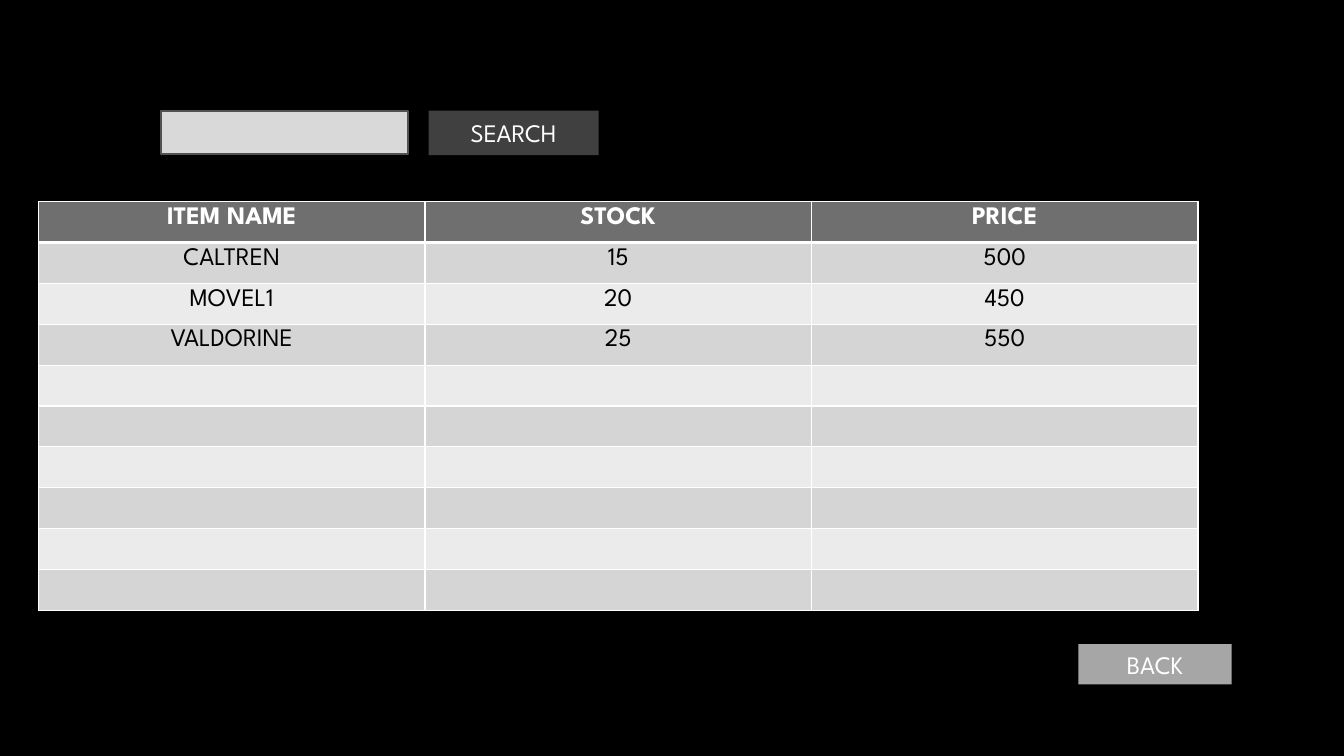
from lxml import etree
from pptx import Presentation
from pptx.dml.color import RGBColor
from pptx.enum.shapes import MSO_SHAPE as Shape
from pptx.enum.text import MSO_ANCHOR as Anchor, PP_ALIGN as Align
from pptx.oxml import parse_xml
from pptx.oxml.ns import nsdecls
from pptx.util import Cm, Pt


def paint(fill, color):
    fill.solid()
    fill.fore_color.rgb = RGBColor.from_string(color)


def write_centred(paragraph, text, color, bold=False):
    paragraph.alignment = Align.CENTER
    run = paragraph.add_run()
    run.text = text
    run.font.name = "League Spartan"
    run.font.size = Pt(18)
    run.font.bold = bold
    paint(run.font.fill, color)


presentation = Presentation()
presentation.slide_width = Cm(33.87)
presentation.slide_height = Cm(19.05)
slide = presentation.slides.add_slide(presentation.slide_layouts[6])
paint(slide.background.fill, "000000")

# Stock table
stock_rows = [
    ("ITEM NAME", "STOCK", "PRICE"),
    ("CALTREN", "15", "500"),
    ("MOVEL1", "20", "450"),
    ("VALDORINE", "25", "550"),
]
row_count, column_count = 10, 3
table = slide.shapes.add_table(
    row_count, column_count, Cm(0.97), Cm(5.08), Cm(29.22), Cm(10.3)
).table
for column in table.columns:
    column.width = Cm(9.74)
for row in table.rows:
    row.height = Cm(1.03)

for row_index in range(row_count):
    is_header = row_index == 0
    if is_header:
        row_color = "6F6F6F"
    else:
        row_color = "D5D5D5" if row_index % 2 else "EBEBEB"
    border_widths = {
        "lnL": 1,
        "lnR": 1,
        "lnT": 3 if row_index == 1 else 1,
        "lnB": 3 if is_header else 1,
    }
    for column_index in range(column_count):
        cell = table.cell(row_index, column_index)
        cell_properties = cell._tc.get_or_add_tcPr()
        for side, width in border_widths.items():
            cell_properties.append(parse_xml(
                f'<a:{side} {nsdecls("a")} w="{Pt(width)}"><a:solidFill>'
                f'<a:srgbClr val="FFFFFF"/></a:solidFill></a:{side}>'
            ))
        paint(cell.fill, row_color)
        if row_index < len(stock_rows):
            write_centred(
                cell.text_frame.paragraphs[0],
                stock_rows[row_index][column_index],
                "FFFFFF" if is_header else "000000",
                bold=is_header,
            )

# Search field and buttons: text, left, top, width, height, fill, outline
controls = [
    ("SEARCH", 10.8, 2.79, 4.29, 1.12, "404040", None),
    ("", 4.06, 2.79, 6.22, 1.1, "D9D9D9", "525252"),
    ("BACK", 27.18, 16.23, 3.86, 1.02, "A6A6A6", None),
]
for text, left, top, width, height, color, outline in controls:
    control = slide.shapes.add_shape(
        Shape.RECTANGLE, Cm(left), Cm(top), Cm(width), Cm(height)
    )
    control.shadow.inherit = False
    paint(control.fill, color)
    if outline:
        paint(control.line.fill, outline)
        control.line.width = Pt(1.5)
    else:
        control.line.fill.background()
    if text:
        control.text_frame.vertical_anchor = Anchor.MIDDLE
        write_centred(control.text_frame.paragraphs[0], text, "FFFFFF")

presentation.save("out.pptx")
